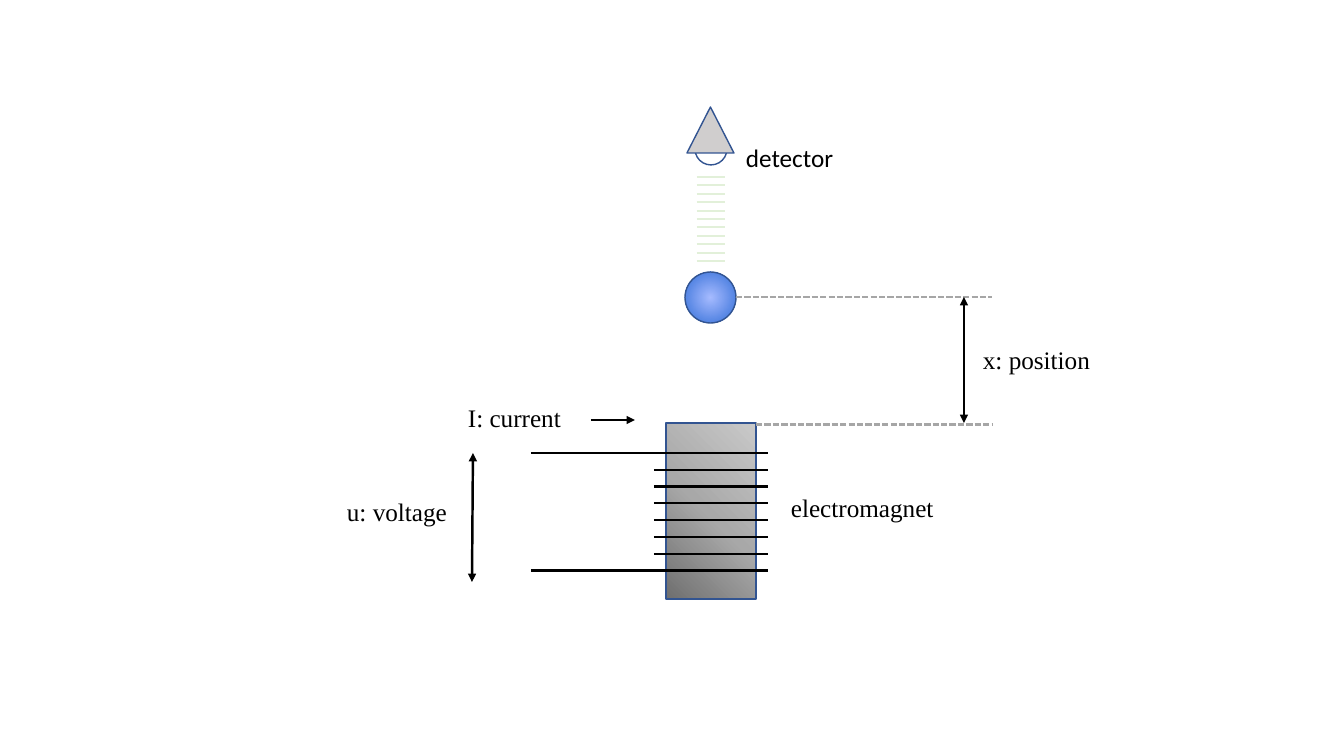
from lxml import etree
from pptx import Presentation
from pptx.dml.color import RGBColor
from pptx.enum.dml import MSO_LINE
from pptx.enum.shapes import MSO_CONNECTOR, MSO_SHAPE
from pptx.enum.text import MSO_AUTO_SIZE
from pptx.oxml import parse_xml
from pptx.oxml.ns import nsdecls, qn
from pptx.util import Pt

EMU_PER_PX = 914400 / 100.8
SLIDE_SIZE = (1344, 756)

THEME = {
    "ink": "000000", "outline": "325491", "guide": "A6A6A6", "beam": "E2F0D9",
    "lens": "FFFFFF", "housing": "D0CECE",
    "magnet": [(0, "6F6F6F"), (48, "A8A8A8"), (100, "C9C9C9")],
    "ball": [(0, "A6BBFF"), (100, "316DD7")],
    "serif": "Times New Roman", "sans": "Calibri", "text_pt": 18,
    "outline_pt": 1, "wire_pt": 1.5, "arrow_pt": 1.75,
}

# text, font, box (left, top, width, height)
LABELS = [
    ("I: current", "serif", (458, 397, 114, 40)),
    ("u: voltage", "serif", (337, 491, 121, 40)),
    ("electromagnet", "serif", (781, 487, 164, 40)),
    ("x: position", "serif", (973, 339, 128, 40)),
    ("detector", "sans", (736, 137, 109, 40)),
]

MAGNET = (666, 423, 90, 176)
BALL = (685, 272, 51, 51)
LENS = (695, 133, 32, 32)
HOUSING = (687, 107, 47, 46)
COIL = {"top": 453, "bottom": 570.5, "turns": 8, "left": 654, "lead": 531, "right": 768}
BEAM = {"top": 177, "bottom": 261, "waves": 11, "left": 697, "right": 725}
GUIDES = [(756, 424.5, 992, 424.5), (736, 297, 992, 297)]
# start, end, whether the start has a head too
ARROWS = [
    ((591, 420, 635, 420), False),   # current
    ((964, 297, 964, 423), True),    # position
    ((473, 453, 472, 582), True),    # voltage
]


def px(value):
    """Turn pixels into EMU."""
    return round(value * EMU_PER_PX)


def spread(first, last, count):
    """Return count evenly spaced values from first to last."""
    return [first + i * (last - first) / (count - 1) for i in range(count)]


def add_line(slide, ends, color, width, dash=None):
    """Draw a straight line without a shadow."""
    line = slide.shapes.add_connector(MSO_CONNECTOR.STRAIGHT, *map(px, ends))
    line.line.color.rgb = RGBColor.from_string(THEME[color])
    line.line.width = Pt(THEME[width])
    if dash:
        line.line.dash_style = dash
    etree.SubElement(line._element.spPr, qn("a:effectLst"))
    return line


def add_arrow(slide, ends, double):
    """Draw an arrow with one or two triangular heads."""
    ln = add_line(slide, ends, "ink", "arrow_pt").line._get_or_add_ln()
    for tag in (["a:headEnd"] if double else []) + ["a:tailEnd"]:
        etree.SubElement(ln, qn(tag), type="triangle")


def add_outlined(slide, kind, box):
    """Add a preset shape with the common outline."""
    shape = slide.shapes.add_shape(kind, *map(px, box))
    shape.shadow.inherit = False
    shape.line.color.rgb = RGBColor.from_string(THEME["outline"])
    shape.line.width = Pt(THEME["outline_pt"])
    return shape


def add_solid(slide, kind, box, color):
    """Add an outlined shape with a plain fill."""
    fill = add_outlined(slide, kind, box).fill
    fill.solid()
    fill.fore_color.rgb = RGBColor.from_string(THEME[color])


def add_radial(slide, kind, box, stops, focus):
    """Add an outlined shape with a circular gradient around focus (l, t, r, b in %)."""
    shape = add_outlined(slide, kind, box)
    shape.fill.gradient()
    stop_xml = "".join(
        f'<a:gs pos="{pos * 1000}"><a:srgbClr val="{color}"/></a:gs>'
        for pos, color in THEME[stops])
    sides = " ".join(f'{side}="{pct * 1000}"' for side, pct in zip("ltrb", focus))
    gradient = parse_xml(
        f'<a:gradFill {nsdecls("a")} rotWithShape="1"><a:gsLst>{stop_xml}</a:gsLst>'
        f'<a:path path="circle"><a:fillToRect {sides}/></a:path></a:gradFill>')
    properties = shape._element.spPr
    properties.replace(properties.find(qn("a:gradFill")), gradient)


def add_label(slide, text, font, box):
    """Add a one-line label that does not wrap."""
    frame = slide.shapes.add_textbox(*map(px, box)).text_frame
    frame.word_wrap = False
    frame.auto_size = MSO_AUTO_SIZE.SHAPE_TO_FIT_TEXT
    run = frame.paragraphs[0].add_run()
    run.text = text
    run.font.name = THEME[font]
    run.font.size = Pt(THEME["text_pt"])
    run.font.color.rgb = RGBColor.from_string(THEME["ink"])


def add_electromagnet(slide):
    """Draw the core and its coil; the outer turns run on as leads."""
    add_radial(slide, MSO_SHAPE.RECTANGLE, MAGNET, "magnet", (0, 100, 100, 0))
    for i, y in enumerate(spread(COIL["top"], COIL["bottom"], COIL["turns"])):
        left = COIL["lead"] if i in (0, COIL["turns"] - 1) else COIL["left"]
        add_line(slide, (left, y, COIL["right"], y), "ink", "wire_pt")


def add_detector(slide):
    """Draw the beam, then the lens and the housing over it."""
    for y in spread(BEAM["top"], BEAM["bottom"], BEAM["waves"]):
        add_line(slide, (BEAM["left"], y, BEAM["right"], y), "beam", "wire_pt")
    add_solid(slide, MSO_SHAPE.OVAL, LENS, "lens")
    add_solid(slide, MSO_SHAPE.ISOSCELES_TRIANGLE, HOUSING, "housing")


def main():
    """Build the levitation diagram and save it."""
    deck = Presentation()
    deck.slide_width, deck.slide_height = map(px, SLIDE_SIZE)
    slide = deck.slides.add_slide(deck.slide_layouts[6])
    add_electromagnet(slide)
    add_radial(slide, MSO_SHAPE.OVAL, BALL, "ball", (50, 50, 50, 50))
    for label in LABELS:
        add_label(slide, *label)
    for ends in GUIDES:
        add_line(slide, ends, "guide", "wire_pt", MSO_LINE.SQUARE_DOT)
    for ends, double in ARROWS:
        add_arrow(slide, ends, double)
    add_detector(slide)
    deck.save("out.pptx")


main()
